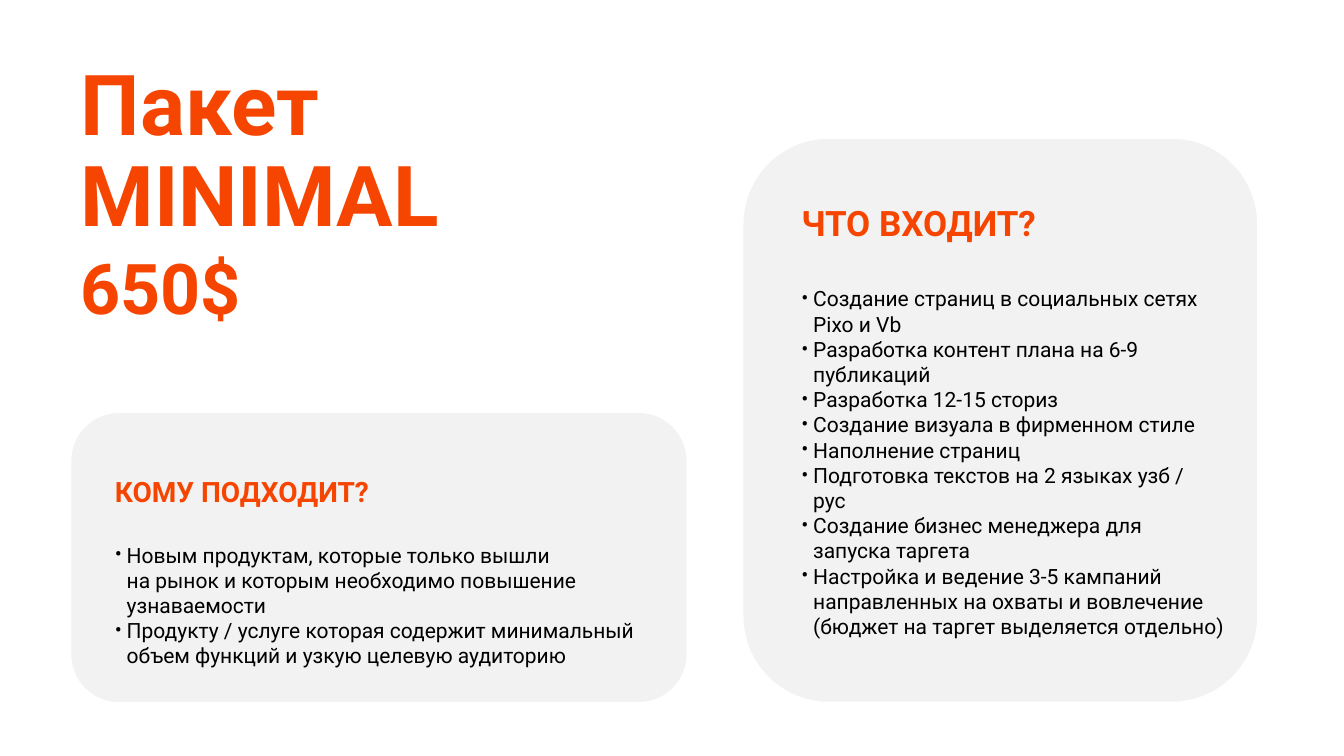
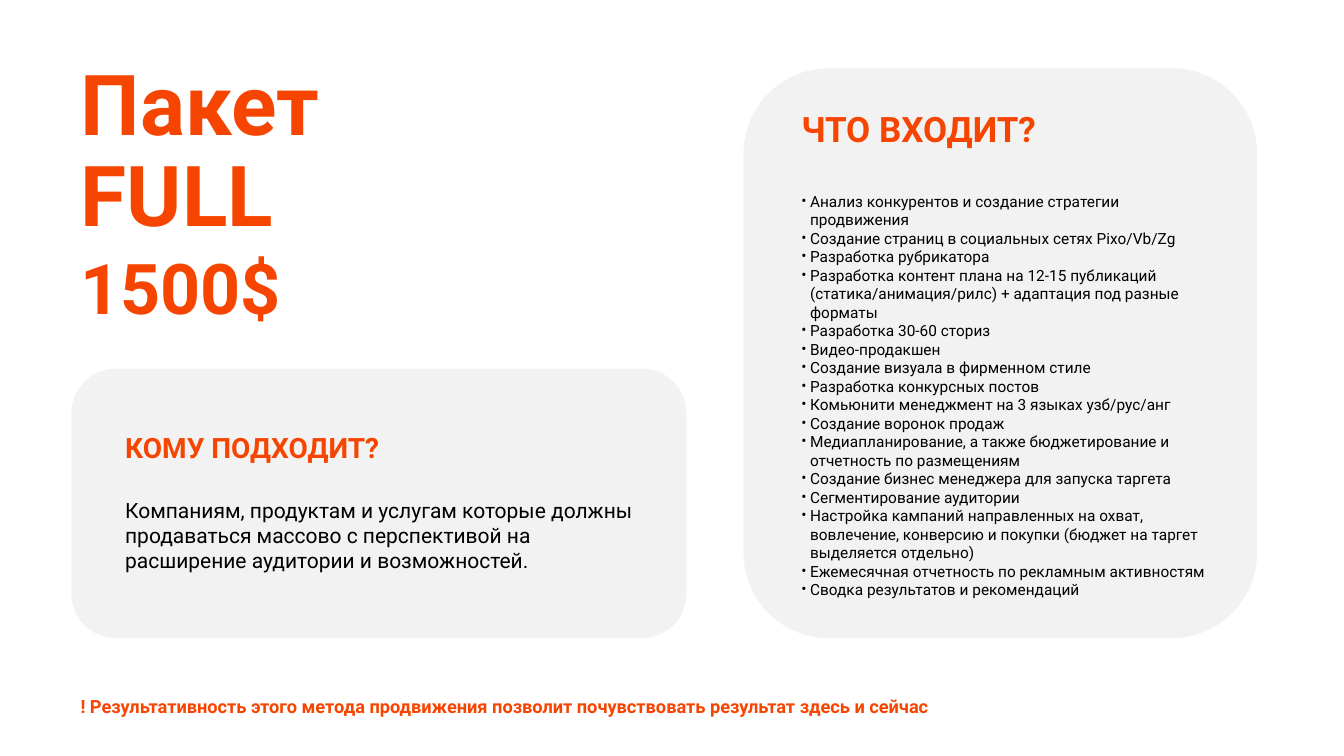
from copy import deepcopy

from pptx import Presentation
from pptx import util as u
from pptx.dml import color
from pptx.enum import shapes, text
from pptx.oxml import ns
from lxml import etree

ORANGE, GREY, BLACK, WHITE = "F64501", "F2F2F2", "000000", "FFFFFF"
FONT = "Roboto"
MARGIN, BAND_WIDTH = 1.78, 29.21
CARD_COLUMNS = [(1.78, 15.54), (18.72, 12.98)]  # left, width in cm
HEADINGS = [("КОМУ ПОДХОДИТ?", 20), ("ЧТО ВХОДИТ?", 25)]


def rgb(value):
    return color.RGBColor.from_string(value)


def write(para, words, size, ink=ORANGE, bold=True, bullet=False, **spacing):
    """Fill one paragraph with formatted text, with a hanging bullet if asked."""
    para.text = words
    paragraph_format = {"alignment": text.PP_ALIGN.LEFT, "space_before": u.Pt(0), **spacing}
    for name, value in paragraph_format.items():
        setattr(para, name, value)

    properties = para._p.get_or_add_pPr()
    hang = u.Cm(0.02 * size) if bullet else 0
    properties.set("marL", str(hang))
    properties.set("indent", str(-hang))
    if bullet:
        etree.SubElement(properties, ns.qn("a:buFont"), typeface=FONT)
        etree.SubElement(properties, ns.qn("a:buChar"), char="•")
    else:
        etree.SubElement(properties, ns.qn("a:buNone"))

    for span in para.runs:
        for name, value in {"name": FONT, "size": u.Pt(size), "bold": bold}.items():
            setattr(span.font, name, value)
        span.font.color.rgb = rgb(ink)
    # Line breaks take the size of the text around them
    for line_break in para._p.findall(ns.qn("a:br")):
        line_break.append(deepcopy(para.runs[0]._r.rPr))


# Content: cards are (top, height), texts are (left, top, width, height), in cm
packages = [
    {
        "title": "Пакет\vMINIMAL",
        "price": "650$",
        "cards": [(10.39, 7.32), (3.48, 14.22)],
        "texts": [(2.64, 11.81, 13.84, 5.18), (19.94, 3.48, 11.3, 14.22)],
        "sizes": [15, 15],
        "bullets": [True, True],
        "lists": [
            [
                "Новым продуктам, которые только вышли\vна рынок и которым необходимо повышение узнаваемости",
                "Продукту / услуге которая содержит минимальный объем функций и узкую целевую аудиторию",
            ],
            [
                "Создание страниц в социальных сетях Pixo и Vb",
                "Разработка контент плана на 6-9 публикаций",
                "Разработка 12-15 сториз",
                "Создание визуала в фирменном стиле",
                "Наполнение страниц",
                "Подготовка текстов на 2 языках узб /\vрус",
                "Создание бизнес менеджера для\vзапуска таргета",
                "Настройка и ведение 3-5 кампаний направленных на охваты и вовлечение (бюджет на таргет выделяется отдельно)",
            ],
        ],
    },
    {
        "title": "Пакет\vFULL",
        "price": "1500$",
        "cards": [(9.27, 6.83), (1.7, 14.4)],
        "texts": [(2.9, 10.69, 13.84, 3.89), (19.94, 1.7, 11.05, 14.4)],
        "sizes": [15, 11],
        "bullets": [False, True],
        "lists": [
            [
                "Компаниям, продуктам и услугам которые должны продаваться массово с перспективой на расширение аудитории и возможностей.",
            ],
            [
                "Анализ конкурентов и создание стратегии продвижения",
                "Создание страниц в социальных сетях Pixo/Vb/Zg",
                "Разработка рубрикатора",
                "Разработка контент плана на 12-15 публикаций (статика/анимация/рилс) + адаптация под разные форматы",
                "Разработка 30-60 сториз",
                "Видео-продакшен",
                "Создание визуала в фирменном стиле",
                "Разработка конкурсных постов",
                "Комьюнити менеджмент на 3 языках узб/рус/анг",
                "Создание воронок продаж",
                "Медиапланирование, а также бюджетирование и отчетность по размещениям",
                "Создание бизнес менеджера для запуска таргета",
                "Сегментирование аудитории",
                "Настройка кампаний направленных на охват, вовлечение, конверсию и покупки (бюджет на таргет выделяется отдельно)",
                "Ежемесячная отчетность по рекламным активностям",
                "Сводка результатов и рекомендаций",
            ],
        ],
        "footnote": "! Результативность этого метода продвижения позволит почувствовать результат здесь и сейчас",
    },
]

deck = Presentation()
deck.slide_width, deck.slide_height = u.Cm(33.87), u.Cm(19.05)
two_content = deck.slide_layouts[3]
frame_format = {
    "word_wrap": True,
    "auto_size": text.MSO_AUTO_SIZE.NONE,
    "vertical_anchor": text.MSO_ANCHOR.MIDDLE,
}

for package in packages:
    page = deck.slides.add_slide(two_content)
    title, *bodies = page.placeholders

    # Grey cards, placed behind the placeholders
    for (left, width), (top, height) in zip(CARD_COLUMNS, package["cards"]):
        card = page.shapes.add_shape(
            shapes.MSO_SHAPE.ROUNDED_RECTANGLE, *map(u.Cm, (left, top, width, height)))
        card.shadow.inherit = False
        card.fill.solid()
        card.fill.fore_color.rgb = rgb(GREY)
        card.line.color.rgb = rgb(WHITE)
        card.line.width = u.Pt(1)
        card.element.getparent().insert(2, card.element)

    # Title, price and footnote bands
    bands = [(title, package["title"], 60, 2.03, 3.68),
             (None, package["price"], 50, 5.51, 3.68)]
    if "footnote" in package:
        bands.append((None, package["footnote"], 13, 17.34, 1))
    boxes = []
    for box, words, size, top, height in bands:
        box = box or page.shapes.add_textbox(0, 0, 0, 0)
        boxes.append((box, (MARGIN, top, BAND_WIDTH, height)))
        write(box.text_frame.paragraphs[0], words, size, line_spacing=0.9)

    # Heading and list on each card
    for column, body in enumerate(bodies):
        boxes.append((body, package["texts"][column]))
        heading, size = HEADINGS[column]
        frame = body.text_frame
        write(frame.paragraphs[0], heading, size, space_after=u.Pt(1.2 * size))
        for item in package["lists"][column]:
            write(frame.add_paragraph(), item, package["sizes"][column], BLACK, False,
                  package["bullets"][column])

    # Place and format every text box
    for box, place in boxes:
        for name, value in zip(("left", "top", "width", "height"), place):
            setattr(box, name, u.Cm(value))
        for name, value in frame_format.items():
            setattr(box.text_frame, name, value)

deck.save("out.pptx")
